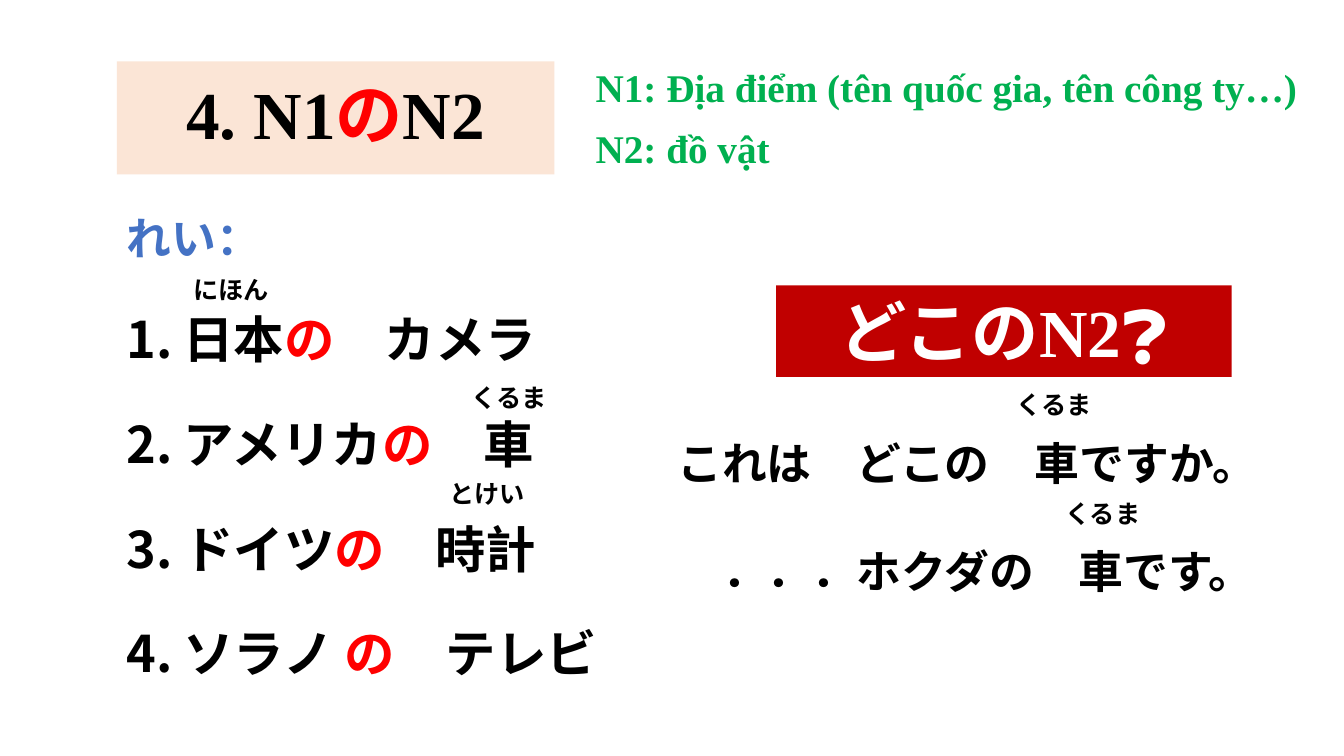
from dataclasses import dataclass

from lxml import etree
from pptx import Presentation
from pptx import util as u
from pptx.dml.color import RGBColor
from pptx.enum import shapes, text
from pptx.oxml import ns


@dataclass(frozen=True)
class Theme:
    serif: str = "Times New Roman"
    sans: str = "Calibri"
    black: str = "000000"
    white: str = "FFFFFF"
    red: str = "FF0000"
    blue: str = "4472C4"
    green: str = "00B050"
    peach: str = "FBE5D6"
    crimson: str = "C00000"
    heading: int = 48
    example: int = 36
    sentence: int = 32
    note: int = 28
    furigana: int = 18


class GrammarSlide:
    columns = 40
    rows = 22.5

    def __init__(self, presentation, theme):
        self.theme = theme
        self.column = presentation.slide_width / self.columns
        self.row = presentation.slide_height / self.rows
        self.slide = presentation.slides.add_slide(presentation.slide_layouts[6])

    def place(self, left, top, width, height):
        return (round(left * self.column), round(top * self.row),
                round(width * self.column), round(height * self.row))

    def text_box(self, area, wrap=True, grow=True):
        frame = self.slide.shapes.add_textbox(*self.place(*area)).text_frame
        frame.word_wrap = wrap
        if grow:
            frame.auto_size = text.MSO_AUTO_SIZE.SHAPE_TO_FIT_TEXT
        return frame

    def add_line(self, frame, runs, size, font=None, spacing=None, before=0, numbered=False):
        paragraph = frame.paragraphs[0]
        if paragraph.runs:
            paragraph = frame.add_paragraph()
            paragraph.space_before = u.Pt(before)
        if spacing:
            paragraph.line_spacing = spacing
        if numbered:
            self.number(paragraph)
        paragraph.font.name = font or self.theme.serif
        paragraph.font.size = u.Pt(size)
        paragraph.font.bold = True
        for words, color in runs:
            run = paragraph.add_run()
            run.text = words
            run.font.color.rgb = RGBColor.from_string(color)
        return paragraph

    def number(self, paragraph):
        properties = paragraph._p.get_or_add_pPr()
        indent = round(1.68 * self.column)
        properties.set("marL", str(indent))
        properties.set("indent", str(-indent))
        etree.SubElement(properties, ns.qn("a:buFont"), typeface="+mj-lt")
        etree.SubElement(properties, ns.qn("a:buAutoNum"), type="arabicPeriod")

    def banner(self, area, fill, runs, spacing=None):
        shape = self.slide.shapes.add_shape(shapes.MSO_SHAPE.RECTANGLE, *self.place(*area))
        shape.shadow.inherit = False
        shape.fill.solid()
        shape.fill.fore_color.rgb = RGBColor.from_string(fill)
        shape.line.fill.background()
        shape.text_frame.word_wrap = True
        shape.text_frame.vertical_anchor = text.MSO_ANCHOR.MIDDLE
        paragraph = self.add_line(shape.text_frame, runs, self.theme.heading, spacing=spacing)
        paragraph.alignment = text.PP_ALIGN.CENTER

    def examples(self, area, label, pairs):
        theme = self.theme
        frame = self.text_box(area, grow=False)
        self.add_line(frame, [(label, theme.blue)], theme.sentence, spacing=1.5)
        for origin, item in pairs:
            runs = [(origin, theme.black), ("の　", theme.red), (item, theme.black)]
            self.add_line(frame, runs, theme.example, spacing=1.5, before=10, numbered=True)

    def lines(self, area, sentences, size, color, spacing=None, before=0):
        frame = self.text_box(area)
        for sentence in sentences:
            self.add_line(frame, [(sentence, color)], size, spacing=spacing, before=before)

    def furigana(self, left, top, reading):
        frame = self.text_box((left, top, 2.88, 1.2), wrap=False)
        self.add_line(frame, [(reading, self.theme.black)], self.theme.furigana, self.theme.sans)


def main():
    presentation = Presentation()
    presentation.slide_width = u.Inches(13.33)
    presentation.slide_height = u.Inches(7.5)
    theme = Theme()
    grammar = GrammarSlide(presentation, theme)

    grammar.banner((3.48, 1.83, 13.02, 3.36), theme.peach,
                   [("4. N1", theme.black), ("の", theme.red), ("N2", theme.black)], 0.9)
    grammar.examples((3.48, 5.31, 16.35, 16.35), "れい：",
                     [("日本", "カメラ"), ("アメリカ", "車"), ("ドイツ", "時計"), ("ソラノ ", "テレビ")])
    grammar.lines((19.86, 11.22, 19.8, 6.78),
                  ["これは　どこの　車ですか。", "　．．．ホクダの　車です。"],
                  theme.sentence, theme.black, spacing=2)
    grammar.lines((17.43, 1.74, 21.72, 3.54),
                  ["N1: Địa điểm (tên quốc gia, tên công ty…)", "N2: đồ vật"],
                  theme.note, theme.green, before=10)
    grammar.banner((23.1, 8.49, 13.56, 2.73), theme.crimson, [("どこのN2❓", theme.white)])

    for left, top, reading in [(5.46, 8.01, "にほん"), (13.74, 11.22, "くるま"),
                               (13.08, 14.1, "とけい"), (29.97, 11.43, "くるま"),
                               (31.41, 14.67, "くるま")]:
        grammar.furigana(left, top, reading)

    presentation.save("out.pptx")


if __name__ == "__main__":
    main()
